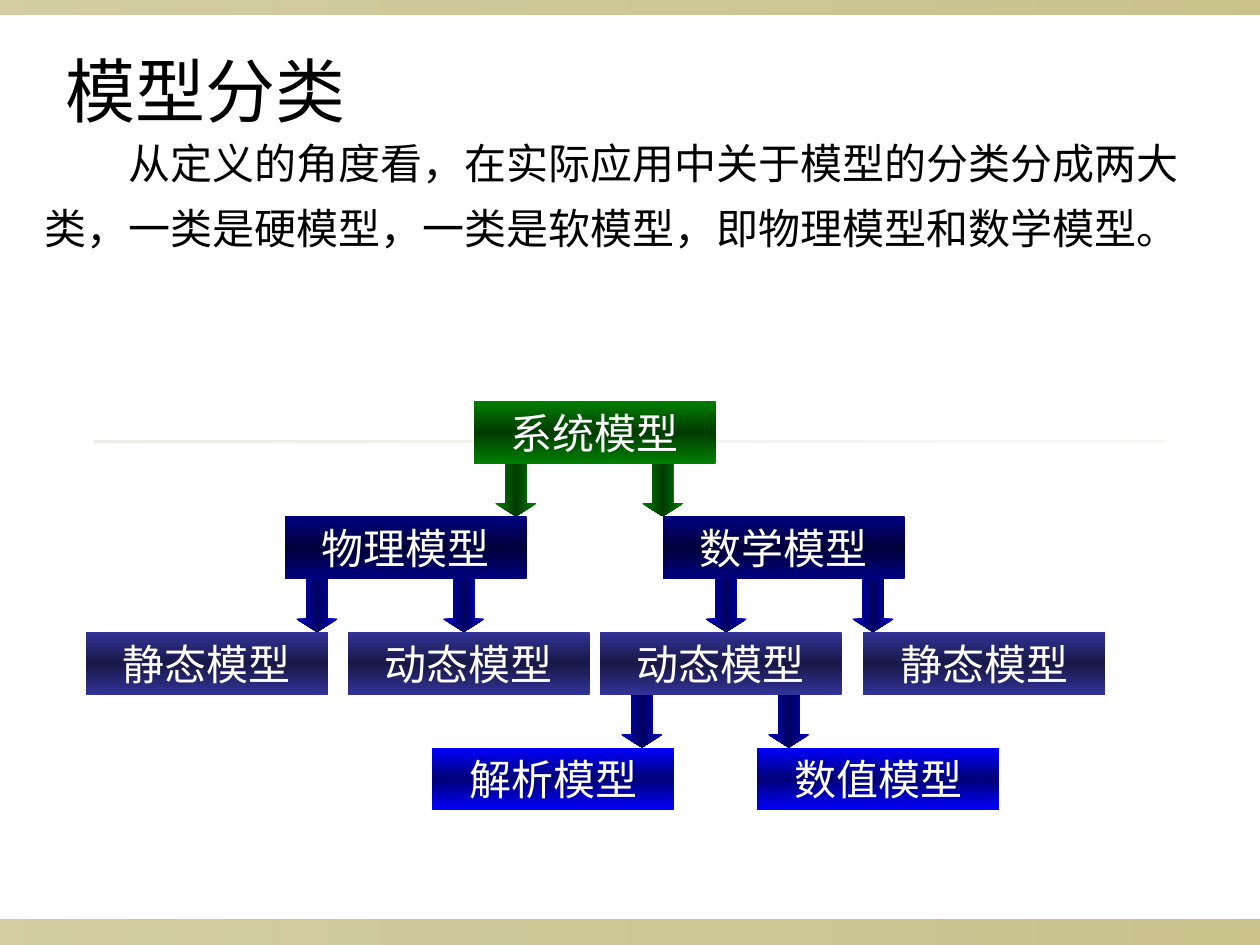
from typing import NamedTuple

from lxml.etree import SubElement
from pptx import Presentation
from pptx.dml.color import RGBColor
from pptx.enum.shapes import MSO_SHAPE
from pptx.enum.text import MSO_ANCHOR, MSO_AUTO_SIZE, PP_ALIGN
from pptx.oxml.ns import qn
from pptx.util import Cm, Pt

BOX_WIDTH, BOX_HEIGHT = 4.88, 1.27
FIRST_ROW_TOP, ROW_STEP = 8.08, 2.33
ARROW_WIDTH, ARROW_GAP = 0.84, 2.96


class Stop(NamedTuple):
    position: int
    color: str
    opacity: int = 100


class Band(NamedTuple):
    left: float
    top: float
    width: float
    height: float
    color: str
    opacities: tuple[int, int]


class Level(NamedTuple):
    edge: str
    middle: str
    boxes: tuple[tuple[float, str], ...]


class ArrowPair(NamedTuple):
    level: int
    left: float
    edge: str
    middle: str


BANDS = [
    Band(0, 18.54, 25.4, 0.51, "918415", (40, 50)),
    Band(0, 0, 25.4, 0.3, "918415", (40, 50)),
    Band(1.9, 8.88, 21.6, 0.05, "DCD9CC", (50, 20)),
]
LEVELS = [
    Level("008000", "003B00", ((9.55, "系统模型"),)),
    Level("000080", "00003B", ((5.74, "物理模型"), (13.36, "数学模型"))),
    Level("333399", "181847", ((1.73, "静态模型"), (7.01, "动态模型"),
                               (12.09, "动态模型"), (17.4, "静态模型"))),
    Level("0000FF", "000076", ((8.71, "解析模型"), (15.27, "数值模型"))),
]
ARROW_PAIRS = [
    ArrowPair(0, 9.98, "008000", "003B00"),
    ArrowPair(1, 5.97, "0000CC", "00005E"),
    ArrowPair(1, 14.22, "0000CC", "00005E"),
    ArrowPair(2, 12.52, "0000CC", "00005E"),
]


def rgb(color: str) -> RGBColor:
    return RGBColor.from_string(color)


def fill_gradient(shape, stops: list[Stop], angle: int) -> None:
    """Fill with any number of stops; the angle runs clockwise in degrees."""
    shape.fill.gradient()
    gradient = shape._element.spPr.find(qn("a:gradFill"))
    for child in list(gradient):
        gradient.remove(child)
    stop_list = SubElement(gradient, qn("a:gsLst"))
    for stop in stops:
        item = SubElement(stop_list, qn("a:gs"), pos=str(stop.position * 1000))
        color = SubElement(item, qn("a:srgbClr"), val=stop.color)
        if stop.opacity < 100:
            SubElement(color, qn("a:alpha"), val=str(stop.opacity * 1000))
    SubElement(gradient, qn("a:lin"), ang=str(angle * 60000), scaled="0")


def add_gradient_shape(slide, kind, left: float, top: float, width: float,
                       height: float, stops: list[Stop], angle: int):
    shape = slide.shapes.add_shape(kind, Cm(left), Cm(top), Cm(width), Cm(height))
    shape.shadow.inherit = False
    shape.line.fill.background()
    fill_gradient(shape, stops, angle)
    return shape


def shaded_stops(edge: str, middle: str) -> list[Stop]:
    return [Stop(0, edge), Stop(50, middle), Stop(100, edge)]


def set_text(shape, text: str, color: str, font: dict, frame: dict, layout: dict) -> None:
    text_frame = shape.text_frame
    text_frame.text = text
    paragraph = text_frame.paragraphs[0]
    for target, values in ((text_frame, frame), (paragraph, layout),
                           (paragraph.runs[0].font, font)):
        for name, value in values.items():
            setattr(target, name, value)
    paragraph.runs[0].font.color.rgb = rgb(color)


def place(shape, left: float, top: float, width: float, height: float) -> None:
    position = {"left": left, "top": top, "width": width, "height": height}
    for name, value in position.items():
        setattr(shape, name, Cm(value))


def add_band(slide, band: Band) -> None:
    start, end = band.opacities
    stops = [Stop(0, band.color, start), Stop(100, band.color, end)]
    add_gradient_shape(slide, MSO_SHAPE.RECTANGLE, band.left, band.top,
                       band.width, band.height, stops, 0)


def add_box(slide, left: float, top: float, text: str, level: Level) -> None:
    box = add_gradient_shape(slide, MSO_SHAPE.RECTANGLE, left, top, BOX_WIDTH,
                             BOX_HEIGHT, shaded_stops(level.edge, level.middle), 90)
    set_text(box, text, "FFFFFF", {"name": "Times New Roman", "size": Pt(24)},
             {"word_wrap": False, "vertical_anchor": MSO_ANCHOR.MIDDLE},
             {"alignment": PP_ALIGN.CENTER})


def add_arrow_pair(slide, pair: ArrowPair) -> None:
    top = FIRST_ROW_TOP + pair.level * ROW_STEP + BOX_HEIGHT
    for left in (pair.left, pair.left + ARROW_GAP):
        arrow = add_gradient_shape(slide, MSO_SHAPE.DOWN_ARROW, left, top,
                                   ARROW_WIDTH, ROW_STEP - BOX_HEIGHT,
                                   shaded_stops(pair.edge, pair.middle), 0)
        arrow.adjustments[0] = 0.5
        arrow.adjustments[1] = 0.31


def fill_placeholders(slide) -> None:
    title, body = slide.shapes.title, slide.placeholders[1]
    place(title, 1.07, 0.53, 9.04, 2.24)
    set_text(title, "模型分类", "000000", {"name": "Karla", "size": Pt(40)},
             {"vertical_anchor": MSO_ANCHOR.BOTTOM, "auto_size": MSO_AUTO_SIZE.NONE},
             {"alignment": PP_ALIGN.LEFT})

    place(body, 0.64, 2.34, 24.13, 2.9)
    set_text(body, "从定义的角度看，在实际应用中关于模型的分类分成两大类，"
             "一类是硬模型，一类是软模型，即物理模型和数学模型。", "000000",
             {"name": "Times New Roman", "size": Pt(24)},
             {"word_wrap": True, "auto_size": MSO_AUTO_SIZE.NONE},
             {"line_spacing": 1.3, "space_before": Pt(0)})
    properties = body.text_frame.paragraphs[0]._p.get_or_add_pPr()
    properties.set("marL", "0")
    properties.set("indent", str(Pt(48)))
    SubElement(properties, qn("a:buNone"))


def main() -> None:
    presentation = Presentation()
    presentation.slide_width, presentation.slide_height = Cm(25.4), Cm(19.05)
    slide = presentation.slides.add_slide(presentation.slide_layouts[1])
    for band in BANDS:
        add_band(slide, band)
    fill_placeholders(slide)
    for row, level in enumerate(LEVELS):
        for left, text in level.boxes:
            add_box(slide, left, FIRST_ROW_TOP + row * ROW_STEP, text, level)
    for pair in ARROW_PAIRS:
        add_arrow_pair(slide, pair)
    presentation.save("out.pptx")


if __name__ == "__main__":
    main()
